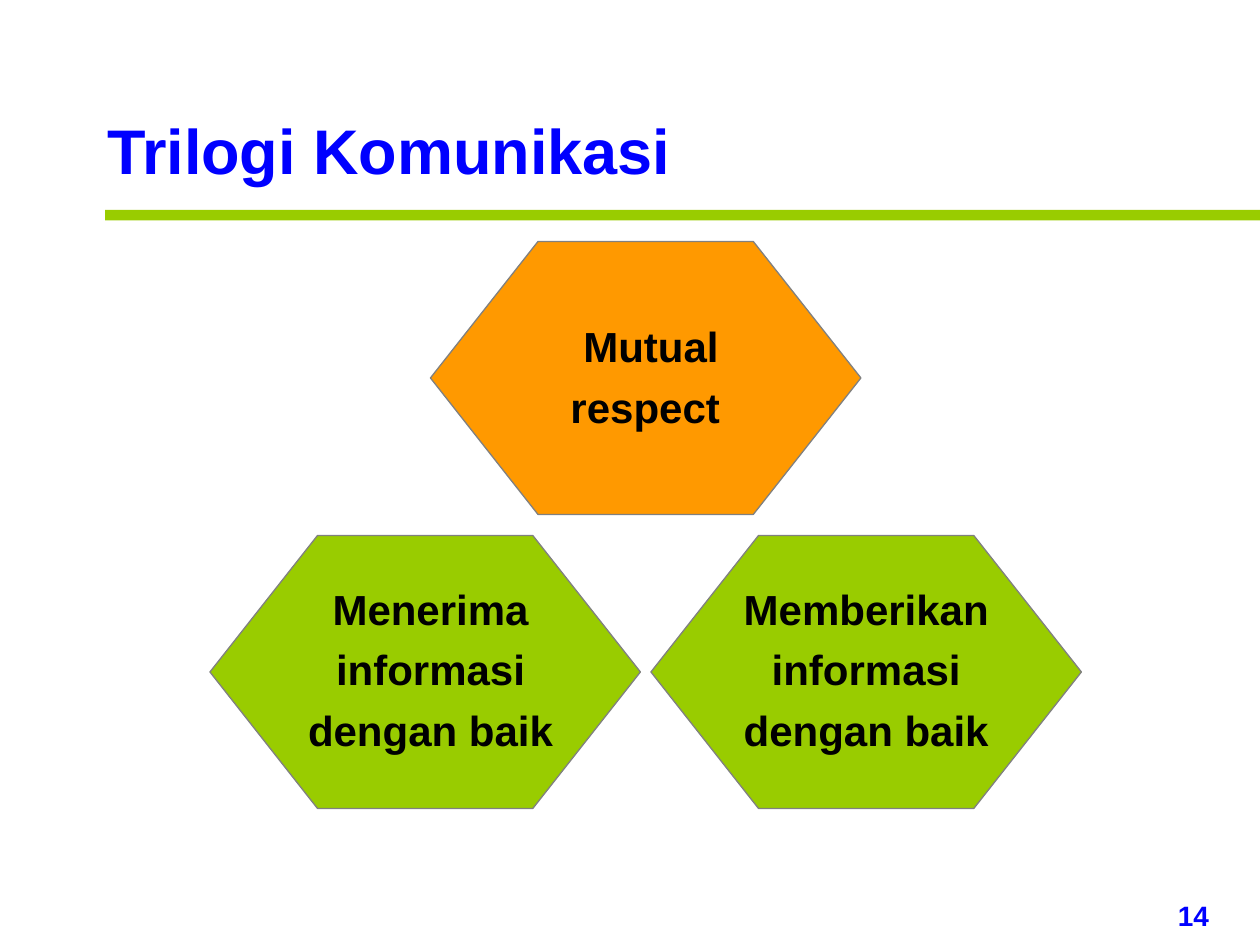
from pptx import Presentation
from pptx import util as u
from pptx.dml.color import RGBColor
from pptx.enum import shapes, text

PX = 7620
BLUE = RGBColor(0x00, 0x00, 0xFF)
BLACK = RGBColor(0x00, 0x00, 0x00)
GREEN = RGBColor(0x99, 0xCC, 0x00)
ORANGE = RGBColor(0xFF, 0x99, 0x00)
GREY = RGBColor(0x80, 0x80, 0x80)

HEX_WIDTH, HEX_HEIGHT = 410, 260


def px(*lengths):
    return [u.Emu(length * PX) for length in lengths]


def set_all(target, values):
    for name, value in values.items():
        setattr(target, name, value)


def write(box, words, size, color, wrap=True, **para_format):
    frame = box.text_frame
    set_all(frame, {
        "word_wrap": wrap,
        "auto_size": text.MSO_AUTO_SIZE.NONE,
        "vertical_anchor": text.MSO_ANCHOR.TOP,
    })
    frame.text = words
    para = frame.paragraphs[0]
    set_all(para, para_format)
    font = para.runs[0].font
    set_all(font, {"name": "Arial", "size": u.Pt(size), "bold": True})
    font.color.rgb = color


def add_title(page, words):
    title = page.shapes.title
    set_all(title, dict(zip(("left", "top", "width", "height"),
                            px(90, 100, 564, 84))))
    write(title, words, 36, BLUE, wrap=False, alignment=text.PP_ALIGN.LEFT)


def add_text(page, area, words, size, color, **para_format):
    box = page.shapes.add_textbox(*px(*area))
    write(box, words, size, color, **para_format)


def add_filled(page, kind, area, color):
    shape = page.shapes.add_shape(kind, *px(*area))
    shape.shadow.inherit = False
    shape.fill.solid()
    shape.fill.fore_color.rgb = color
    shape.line.fill.background()
    return shape


def add_hexagon(page, left, top, color, words, label_area):
    area = (left, top, HEX_WIDTH, HEX_HEIGHT)
    hexagon = add_filled(page, shapes.MSO_SHAPE.HEXAGON, area, color)
    hexagon.adjustments[0] = 0.394
    hexagon.line.color.rgb = GREY
    hexagon.line.width = u.Pt(0.75)
    add_text(page, label_area, words, 24, BLACK,
             alignment=text.PP_ALIGN.CENTER, line_spacing=1.2)


def main():
    deck = Presentation()
    deck.slide_width, deck.slide_height = px(1200, 900)
    page = deck.slides.add_slide(deck.slide_layouts[5])

    add_text(page, (1110, 850, 80, 44), "14", 16, BLUE)
    add_filled(page, shapes.MSO_SHAPE.RECTANGLE, (100, 200, 1100, 10), GREEN)
    add_hexagon(page, 620, 510, GREEN, "Memberikan informasi dengan baik",
                (670, 540, 310, 185))
    add_hexagon(page, 200, 510, GREEN, "Menerima informasi dengan baik",
                (270, 540, 280, 185))
    add_hexagon(page, 410, 230, ORANGE, "Mutual respect ",
                (480, 290, 280, 127))
    add_title(page, "Trilogi Komunikasi")

    deck.save("out.pptx")


if __name__ == "__main__":
    main()
